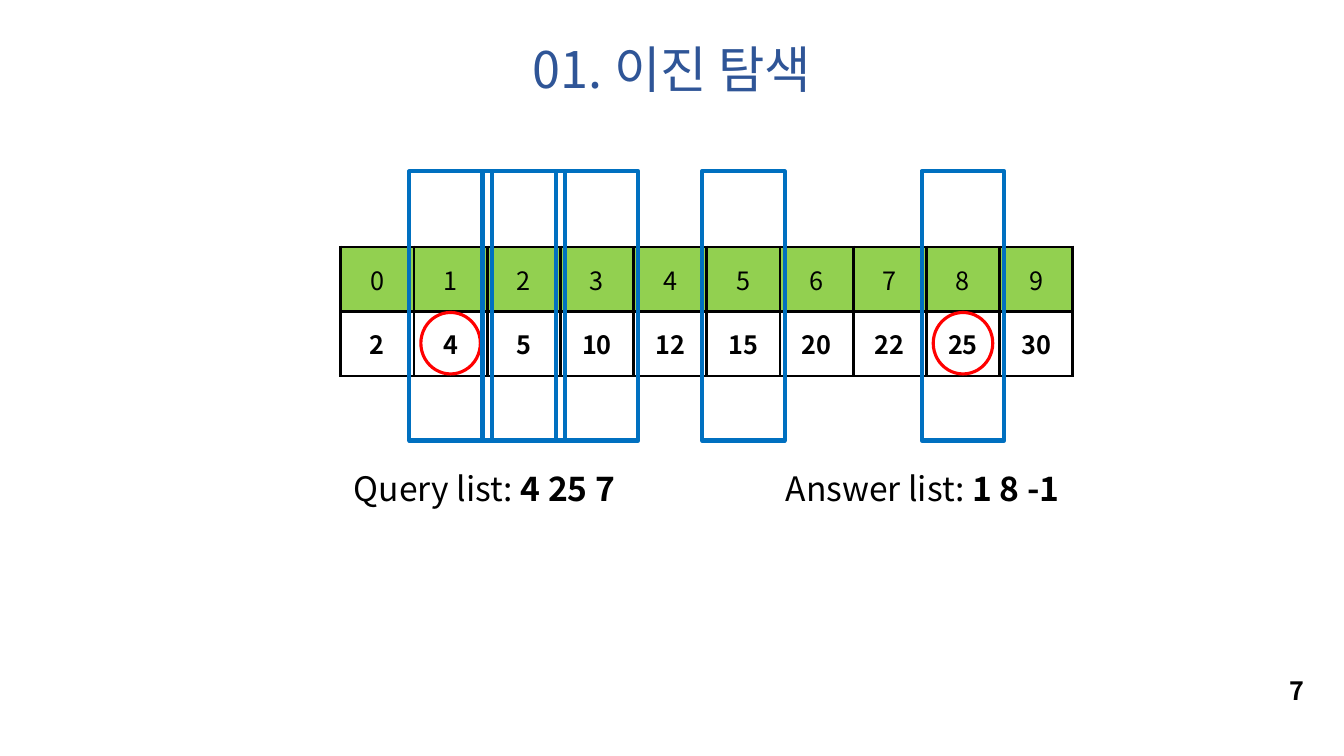
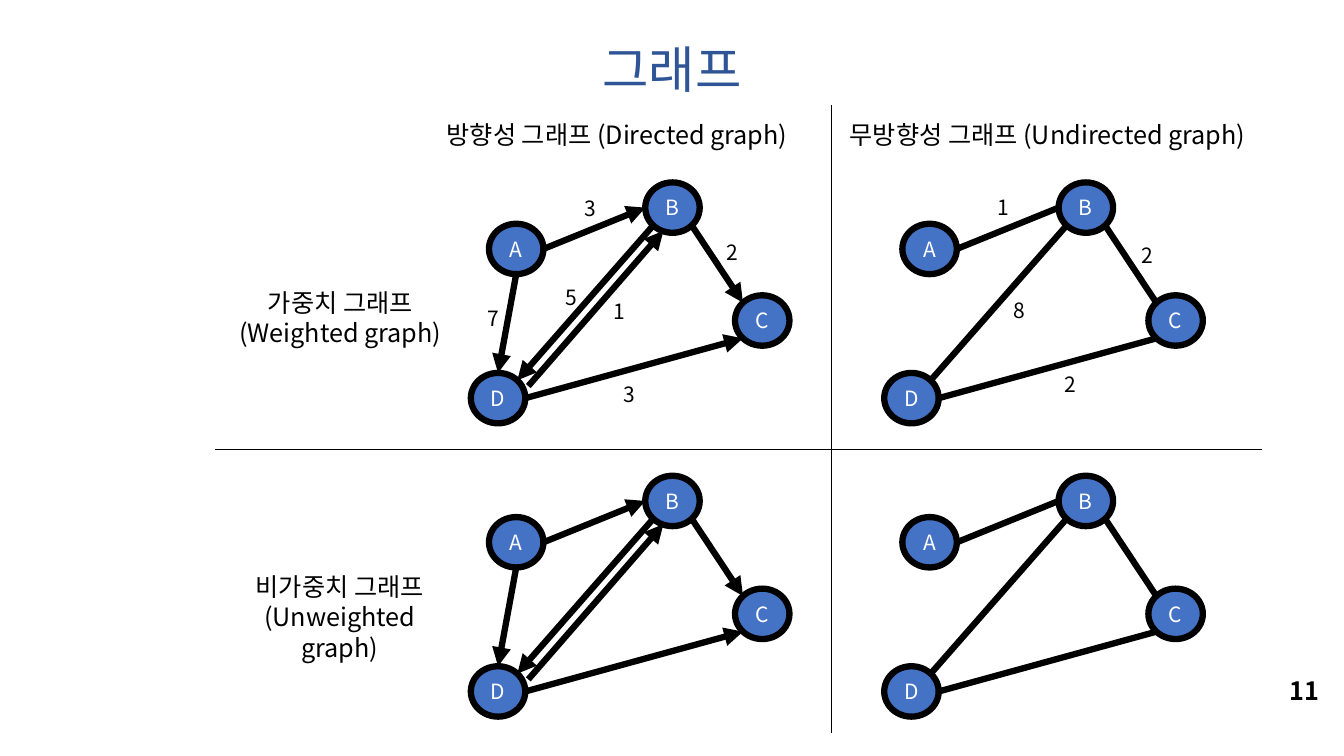
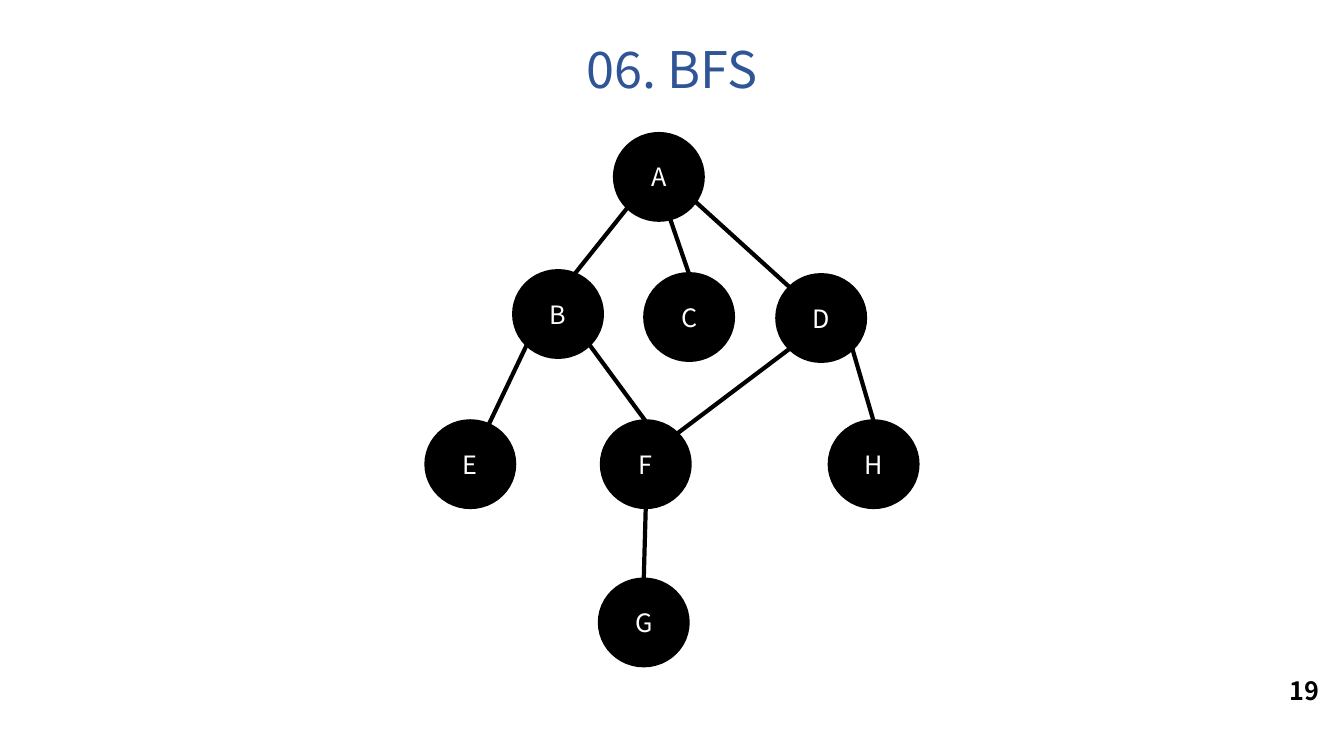
from math import cos, radians, sin

from lxml import etree
from pptx import Presentation, util as u
from pptx.dml.color import RGBColor
from pptx.enum import shapes, text
from pptx.oxml.ns import qn

BLACK = RGBColor(0, 0, 0)
WHITE = RGBColor(255, 255, 255)
TITLE_BLUE = RGBColor(0x2F, 0x55, 0x97)
NODE_BLUE = RGBColor(0x44, 0x72, 0xC4)
FRAME_BLUE = RGBColor(0x00, 0x70, 0xC0)
RED = RGBColor(255, 0, 0)
GREEN = RGBColor(0x92, 0xD0, 0x50)
FONT = "Noto Sans CJK KR"

COLUMNS, ROWS = 13.33, 7.5
CELL = u.Inches(1)

RIGHT, LOWER_RIGHT, BOTTOM, LOWER_LEFT = 0, 45, 90, 135
LEFT, UPPER_LEFT, TOP, UPPER_RIGHT = 180, 225, 270, 315


def grid(*lengths):
    return [u.Emu(round(length * CELL)) for length in lengths]


def moved(point, offset):
    return point[0] + offset[0], point[1] + offset[1]


class Deck:
    def __init__(self):
        self.presentation = Presentation()
        self.presentation.slide_width, self.presentation.slide_height = grid(COLUMNS, ROWS)

    def new_slide(self, title, number):
        slide = self.presentation.slides.add_slide(self.presentation.slide_layouts[5])
        self.canvas = slide.shapes
        heading = slide.shapes.title
        heading.left, heading.top, heading.width, heading.height = grid(0, 0.33, COLUMNS, 0.72)
        frame = heading.text_frame
        frame.vertical_anchor = text.MSO_ANCHOR.TOP
        frame.auto_size = text.MSO_AUTO_SIZE.SHAPE_TO_FIT_TEXT
        self.add_lines(frame, [[(title, False)]], 36, TITLE_BLUE)
        self.label((12.69, 6.65, 0.53, 0.4), [[(number, True)]], wrap=False, centred=False)

    def add_lines(self, frame, lines, size, color=BLACK, centred=True):
        for index, line in enumerate(lines):
            paragraph = frame.add_paragraph() if index else frame.paragraphs[0]
            paragraph.alignment = text.PP_ALIGN.CENTER if centred else text.PP_ALIGN.LEFT
            for words, bold in line:
                run = paragraph.add_run()
                run.text = words
                run.font.size = u.Pt(size)
                run.font.bold = bold
                run.font.color.rgb = color
                run.font.name = FONT
                etree.SubElement(run._r.get_or_add_rPr(), qn("a:ea"), typeface=FONT)

    def label(self, box, lines, size=18, wrap=True, centred=True):
        frame = self.canvas.add_textbox(*grid(*box)).text_frame
        frame.word_wrap = wrap
        frame.auto_size = text.MSO_AUTO_SIZE.SHAPE_TO_FIT_TEXT
        self.add_lines(frame, lines, size, centred=centred)

    def outline(self, kind, box, color, weight, fill=None):
        shape = self.canvas.add_shape(kind, *grid(*box))
        shape.shadow.inherit = False
        if fill is None:
            shape.fill.background()
        else:
            shape.fill.solid()
            shape.fill.fore_color.rgb = fill
        shape.line.color.rgb = color
        shape.line.width = u.Pt(weight)
        return shape

    def line(self, start, end, weight, arrow=False):
        connector = self.canvas.add_connector(shapes.MSO_CONNECTOR.STRAIGHT, *grid(*start, *end))
        connector.line.color.rgb = BLACK
        connector.line.width = u.Pt(weight)
        properties = connector.element.spPr
        if arrow:
            etree.SubElement(properties.find(qn("a:ln")), qn("a:tailEnd"), type="triangle")
        etree.SubElement(properties, qn("a:effectLst"))

    def graph(self, nodes, edges, size, fill, weight, font_size, offset=(0, 0), arrow=False, weights=()):
        def locate(end):
            place, site = end
            if not isinstance(place, str):
                return moved(end, offset)
            left, top = moved(nodes[place], offset)
            width, height = size
            angle = radians(site)
            return left + width / 2 * (1 + cos(angle)), top + height / 2 * (1 + sin(angle))

        slide_shapes = self.canvas
        self.canvas = slide_shapes.add_group_shape().shapes
        for name, corner in nodes.items():
            node = self.outline(shapes.MSO_SHAPE.OVAL, (*moved(corner, offset), *size), BLACK, weight, fill)
            self.add_lines(node.text_frame, [[(name, False)]], font_size, WHITE)
        for start, end in edges:
            self.line(locate(start), locate(end), weight, arrow)
        for words, *corner in weights:
            self.label((*corner, 0.27, 0.3), [[(words, False)]], font_size, wrap=False, centred=False)
        self.canvas = slide_shapes

    def table(self, box, rows, fills):
        left, top, width, height = grid(*box)
        table = self.canvas.add_table(len(rows), len(rows[0]), left, top, width, height).table
        table.first_row = table.horz_banding = False
        for row_index, row in enumerate(rows):
            for column_index, value in enumerate(row):
                cell = table.cell(row_index, column_index)
                self.border(cell)
                if fills[row_index] is None:
                    cell.fill.background()
                else:
                    cell.fill.solid()
                    cell.fill.fore_color.rgb = fills[row_index]
                cell.vertical_anchor = text.MSO_ANCHOR.MIDDLE
                self.add_lines(cell.text_frame, [[(str(value), row_index > 0)]], 18)

    def border(self, cell):
        for side in ("lnL", "lnR", "lnT", "lnB"):
            edge = etree.SubElement(cell._tc.get_or_add_tcPr(), qn(f"a:{side}"), w=str(u.Pt(2.25)))
            fill = etree.SubElement(edge, qn("a:solidFill"))
            etree.SubElement(fill, qn("a:srgbClr"), val=str(BLACK))


def binary_search(deck):
    deck.new_slide("01. 이진 탐색", "7")
    values = [2, 4, 5, 10, 12, 15, 20, 22, 25, 30]
    left, width = 3.38, 7.26
    deck.table((left, 2.45, width, 1.28), [range(len(values)), values], [GREEN, None])
    deck.label((3.36, 4.59, 2.89, 0.5), [[("Query list: ", False), ("4 25 7", True)]], 24, wrap=False)
    deck.label((7.66, 4.59, 2.98, 0.5), [[("Answer list: ", False), ("1 8 -1", True)]], 24, wrap=False)
    found = (shapes.MSO_SHAPE.OVAL, (1, 8), 3.1, 0.59, 0.61, RED, 2.25)
    visited = (shapes.MSO_SHAPE.RECTANGLE, (2, 1, 8, 3, 5), 1.7, 0.82, 2.67, FRAME_BLUE, 3)
    for kind, indexes, top, mark_width, mark_height, color, weight in (found, visited):
        for index in indexes:
            centre = left + width / len(values) * (index + 0.5)
            deck.outline(kind, (centre - mark_width / 2, top, mark_width, mark_height), color, weight)


def graph_kinds(deck):
    deck.new_slide("그래프", "11")
    nodes = {"A": (4.85, 2.22), "B": (6.4, 1.81), "C": (7.29, 2.93), "D": (4.67, 3.7)}
    shared_edges = [
        (("A", RIGHT), ("B", LEFT)),
        (("B", LOWER_RIGHT), ("C", UPPER_LEFT)),
        (("B", LOWER_LEFT), ("D", UPPER_RIGHT)),
        (("D", RIGHT), ("C", LOWER_LEFT)),
    ]
    directed_edges = shared_edges + [
        (("A", BOTTOM), ("D", TOP)),
        ((5.24, 3.83), (6.58, 2.29)),
    ]
    directed_weights = [("3", 5.7, 1.89), ("2", 7.11, 2.33), ("1", 5.99, 2.91),
                        ("5", 5.51, 2.77), ("7", 4.74, 2.98), ("3", 6.09, 3.74)]
    undirected_weights = [("1", 9.8, 1.88), ("2", 11.22, 2.36), ("2", 10.46, 3.64), ("8", 9.95, 2.9)]
    kinds = [(0, directed_edges, True, directed_weights), (4.1, shared_edges, False, undirected_weights)]
    for across, edges, arrow, weights in kinds:
        for down, shown_weights in ((0, weights), (2.91, ())):
            deck.graph(nodes, edges, (0.54, 0.5), NODE_BLUE, 4.5, 15, (across, down), arrow, shown_weights)
    deck.line((8.25, 1.04), (8.25, 7.27), 0.5)
    deck.line((12.52, 4.46), (2.13, 4.46), 0.5)
    for box, lines in (
        ((4.26, 1.13, 3.72, 0.4), ["방향성 그래프 (Directed graph)"]),
        ((8.25, 1.13, 4.28, 0.4), ["무방향성 그래프 (Undirected graph)"]),
        ((2.24, 2.8, 2.27, 0.71), ["가중치 그래프", "(Weighted graph)"]),
        ((2.13, 5.62, 2.48, 0.71), ["비가중치 그래프", "(Unweighted graph)"]),
    ):
        deck.label(box, [[(line, False)] for line in lines])


def breadth_first_search(deck):
    deck.new_slide("06. BFS", "19")
    nodes = {"A": (6.1, 1.33), "B": (5.1, 2.69), "C": (6.4, 2.72), "D": (7.71, 2.73),
             "E": (4.23, 4.18), "F": (5.97, 4.18), "G": (5.95, 5.75), "H": (8.23, 4.18)}
    edges = [
        (("A", LOWER_LEFT), (5.69, 2.73)),
        ((6.56, 1.92), ("C", TOP)),
        ((6.72, 1.84), ("D", UPPER_LEFT)),
        (("B", LOWER_LEFT), (4.82, 4.27)),
        (("B", LOWER_RIGHT), ("F", TOP)),
        (("F", UPPER_RIGHT), ("D", LOWER_LEFT)),
        (("F", BOTTOM), ("G", TOP)),
        (("D", LOWER_RIGHT), ("H", TOP)),
    ]
    deck.graph(nodes, edges, (0.87, 0.85), BLACK, 3, 18)


def main():
    deck = Deck()
    binary_search(deck)
    graph_kinds(deck)
    breadth_first_search(deck)
    deck.presentation.save("out.pptx")


if __name__ == "__main__":
    main()
